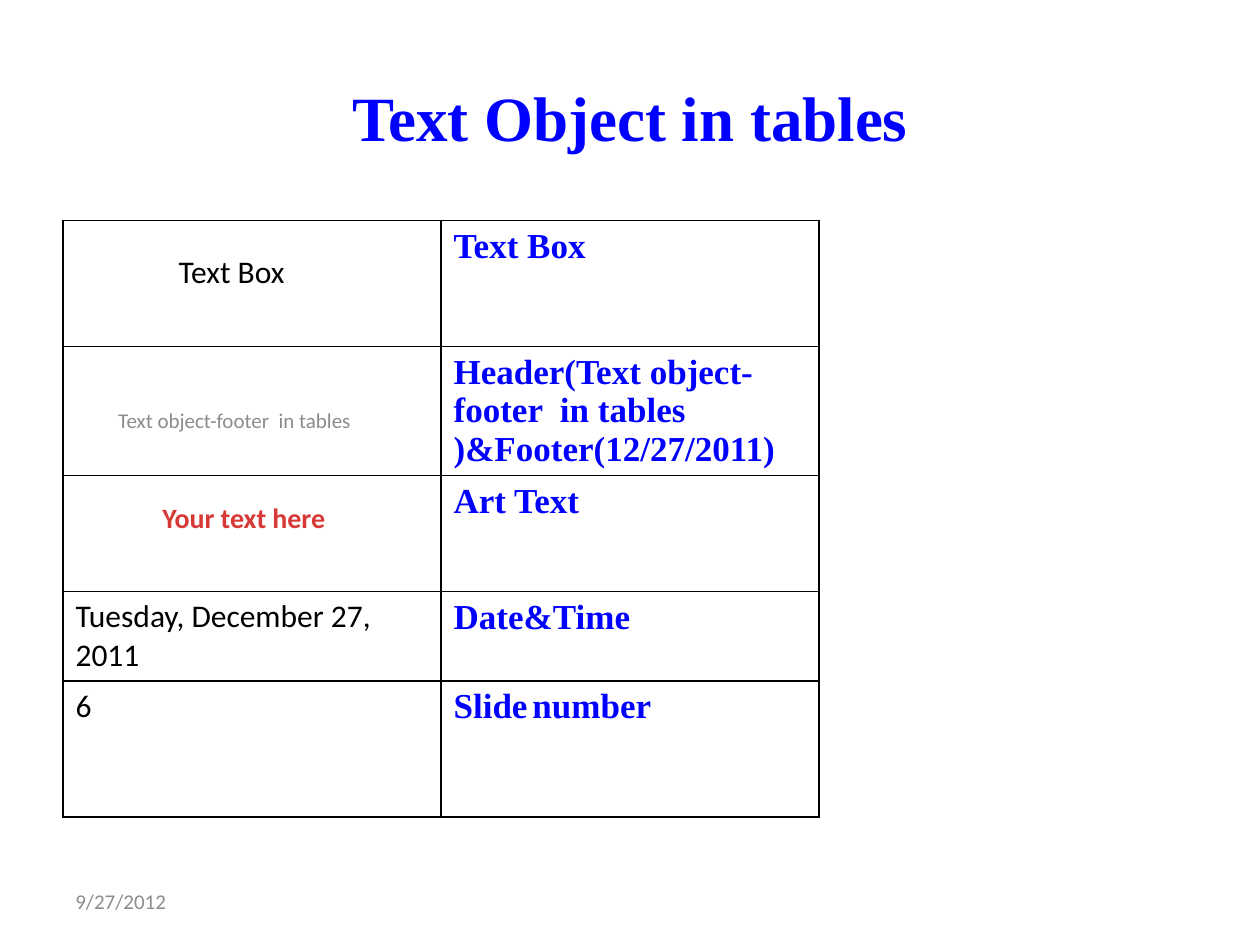
"""Build a slide that shows text objects placed over and inside a table."""
from lxml import etree
from pptx import Presentation
from pptx.dml.color import RGBColor
from pptx.enum import text
from pptx.oxml import ns
from pptx.util import Inches, Pt

COLORS = {"blue": "0000FF", "black": "000000", "gray": "8C8C8C", "red": "D73A36"}
HEADING_FONT, BODY_FONT = "Times New Roman", "Calibri"
ROW_HEIGHTS = [1, 1.02, 0.92, 0.71, 1.08]
ROWS = [
    ("", ["Text Box"]),
    ("", ["Header(Text object-footer  in tables", ")&Footer(12/27/2011)"]),
    ("", ["Art Text"]),
    ("Tuesday, December 27, 2011", ["Date&Time"]),
    ("6", ["Slide", " ", "number"]),
]


def style(font, name, size, color, bold=False):
    font.name, font.size, font.bold = name, Pt(size), bold
    font.color.rgb = RGBColor.from_string(COLORS[color])


def add_title(slide, wording):
    title = slide.shapes.title
    title.left, title.top, title.width, title.height = map(Inches, (0.5, 0.3, 9, 1.25))
    title.text_frame.vertical_anchor = text.MSO_ANCHOR.MIDDLE
    heading = title.text_frame.paragraphs[0]
    heading.text = wording
    heading.alignment = text.PP_ALIGN.CENTER
    style(heading.font, HEADING_FONT, 36, "blue", True)


def add_label(slide, wording, box, size, color, bold=False, centered=False, middle=False):
    frame = slide.shapes.add_textbox(*map(Inches, box)).text_frame
    frame.word_wrap = True
    if middle:
        frame.vertical_anchor = text.MSO_ANCHOR.MIDDLE
    label = frame.paragraphs[0]
    label.text = wording
    label.alignment = text.PP_ALIGN.CENTER if centered else text.PP_ALIGN.LEFT
    style(label.font, BODY_FONT, size, color, bold)


def draw_borders(cell):
    properties = cell._tc.get_or_add_tcPr()
    for position, side in enumerate(("lnL", "lnR", "lnT", "lnB")):
        line = etree.Element(ns.qn(f"a:{side}"), w=str(Pt(1)))
        fill = etree.SubElement(line, ns.qn("a:solidFill"))
        etree.SubElement(fill, ns.qn("a:srgbClr"), val=COLORS["black"])
        properties.insert(position, line)


def fill_description(cell, parts):
    frame = cell.text_frame
    if " " in parts:
        for part in parts:
            run = frame.paragraphs[0].add_run()
            run.text = part
            if part == " ":
                style(run.font, BODY_FONT, 12, "black")
    else:
        frame.text = "\n".join(parts)
    for paragraph in frame.paragraphs:
        style(paragraph.font, HEADING_FONT, 20, "blue", True)


def add_object_table(slide):
    box = map(Inches, (0.5, 1.75, 6, sum(ROW_HEIGHTS)))
    table = slide.shapes.add_table(len(ROWS), 2, *box).table
    table.first_row = table.horz_banding = False
    for row, height, (sample, description) in zip(table.rows, ROW_HEIGHTS, ROWS):
        row.height = Inches(height)
        sample_cell, description_cell = row.cells
        sample_cell.text = sample
        style(sample_cell.text_frame.paragraphs[0].font, BODY_FONT, 18, "black")
        fill_description(description_cell, description)
        for cell in row.cells:
            cell.fill.background()
            draw_borders(cell)


def main():
    deck = Presentation()
    deck.slide_width, deck.slide_height = Inches(10), Inches(7.5)
    slide = deck.slides.add_slide(deck.slide_layouts[5])
    add_title(slide, "Text Object in tables")
    add_object_table(slide)
    add_label(slide, "Text Box", (1.32, 1.95, 1.5, 0.4), 18, "black")
    add_label(slide, "9/27/2012", (0.5, 6.95, 2.33, 0.4), 12, "gray", middle=True)
    add_label(slide, "Your text here", (0.78, 3.92, 2.31, 0.37), 16, "red",
              bold=True, centered=True)
    add_label(slide, "Text object-footer  in tables ", (0.67, 3, 2.42, 0.67), 12, "gray",
              centered=True, middle=True)
    deck.save("out.pptx")


if __name__ == "__main__":
    main()
